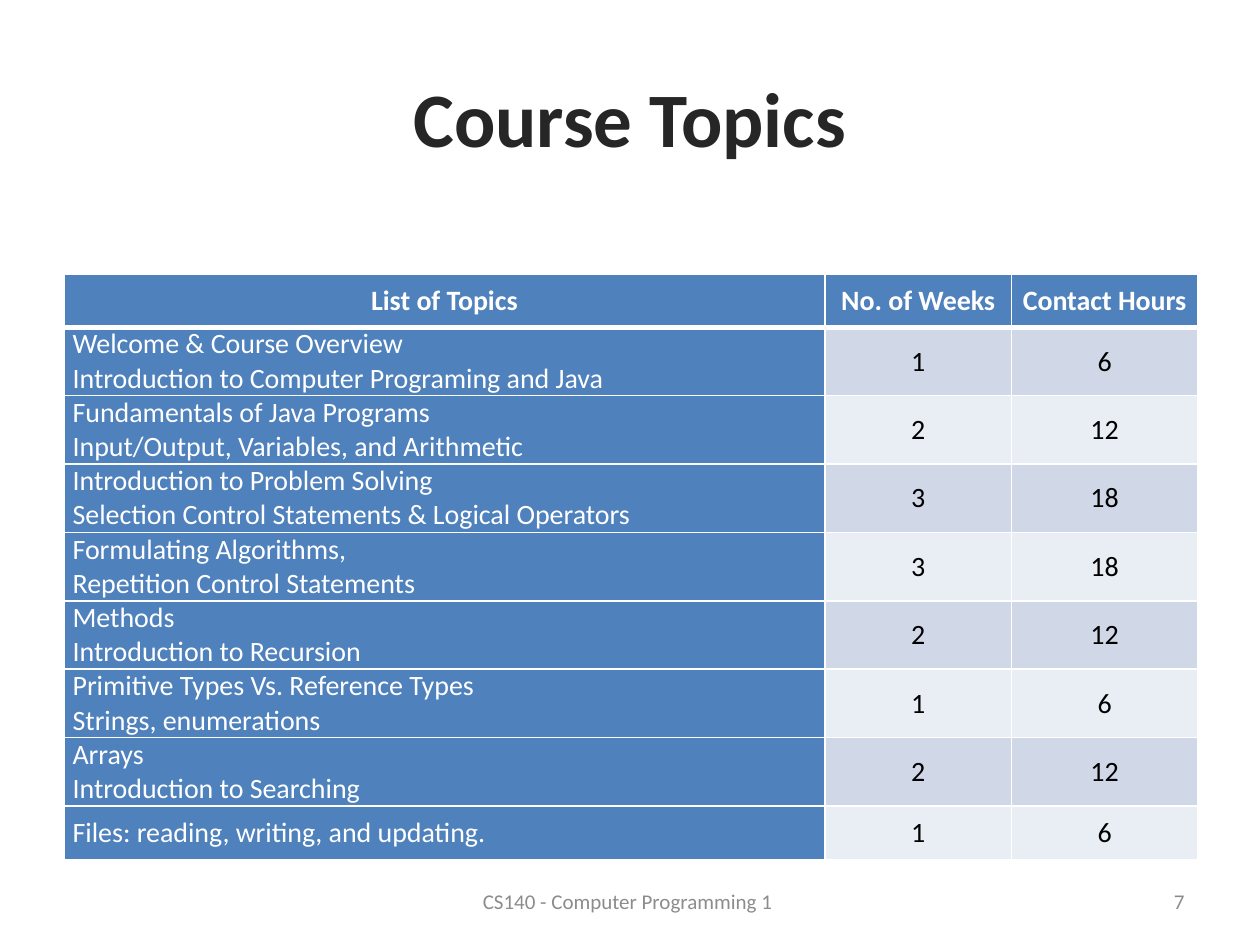
from lxml import etree
from pptx import Presentation
from pptx.dml.color import RGBColor
from pptx.enum import text as t
from pptx.oxml import ns
from pptx.util import Pt

WHITE = RGBColor(0xFF, 0xFF, 0xFF)
BLACK = RGBColor(0, 0, 0)
DARK = RGBColor(0x26, 0x26, 0x26)
GREY = RGBColor(0x8C, 0x8C, 0x8C)
BLUE = RGBColor(0x4F, 0x81, 0xBD)
BANDS = (RGBColor(0xD0, 0xD8, 0xE8), RGBColor(0xE9, 0xED, 0xF4))
LEFT, MID, RIGHT = t.PP_ALIGN.LEFT, t.PP_ALIGN.CENTER, t.PP_ALIGN.RIGHT

HEADS = ("List of Topics", "No. of Weeks", "Contact Hours")
TOPICS = (
    (("Welcome & Course Overview",
      "Introduction to Computer Programing and Java"), 1, 6),
    (("Fundamentals of Java Programs",
      "Input/Output, Variables, and Arithmetic"), 2, 12),
    (("Introduction to Problem Solving",
      "Selection Control Statements & Logical Operators"), 3, 18),
    (("Formulating Algorithms,", "Repetition Control Statements"), 3, 18),
    (("Methods", "Introduction to Recursion"), 2, 12),
    (("Primitive Types Vs. Reference Types", "Strings, enumerations"), 1, 6),
    (("Arrays", "Introduction to Searching"), 2, 12),
    (("Files: reading, writing, and updating.",), 1, 6),
)


def write(frame, lines, size, color, align, bold=False):
    """Write each line as one paragraph with one run."""
    for i, line in enumerate(lines):
        para = frame.add_paragraph() if i else frame.paragraphs[0]
        para.alignment = align
        run = para.add_run()
        run.text = line
        font = run.font
        font.name, font.size, font.bold = "Calibri", Pt(size), bold
        font.color.rgb = color


def label(slide, box, line, size, color, align, bold=False):
    """Place one line of text, centred in height, in the box."""
    frame = slide.shapes.add_textbox(*map(Pt, box)).text_frame
    frame.word_wrap = True
    frame.vertical_anchor = t.MSO_ANCHOR.MIDDLE
    write(frame, [line], size, color, align, bold)


def edge(cell, base):
    """Draw white borders round a cell, the bottom one base points wide."""
    props = cell._tc.get_or_add_tcPr()
    for i, (side, width) in enumerate(
            (("lnL", 1), ("lnR", 1), ("lnT", 1), ("lnB", base))):
        line = etree.Element(ns.qn("a:" + side), w=str(Pt(width)))
        fill = etree.SubElement(line, ns.qn("a:solidFill"))
        etree.SubElement(fill, ns.qn("a:srgbClr"), val=str(WHITE))
        props.insert(i, line)


def fill_cell(cell, lines, fill, color, align, head=False):
    """Set the text, fill and borders of one cell."""
    cell.margin_left = cell.margin_right = Pt(5)
    cell.margin_top = cell.margin_bottom = 0
    cell.vertical_anchor = t.MSO_ANCHOR.MIDDLE
    cell.fill.solid()
    cell.fill.fore_color.rgb = fill
    write(cell.text_frame, lines, 16, color, align, head)
    edge(cell, 3 if head else 1)


def topic_table(slide, box):
    """Place the table of topics, with a head row and banded numbers."""
    left, top, width, height = box
    grid = slide.shapes.add_table(
        len(TOPICS) + 1, len(HEADS), *map(Pt, box)).table
    slim, low = 106.5, 30.5
    for col, wide in zip(grid.columns, (width - 2 * slim, slim, slim)):
        col.width = Pt(wide)
    tall = (height - 2 * low) / (len(TOPICS) - 1)
    for i, row in enumerate(grid.rows):
        row.height = Pt(low if i in (0, len(TOPICS)) else tall)
    for col, head in enumerate(HEADS):
        fill_cell(grid.cell(0, col), [head], BLUE, WHITE, MID, True)
    for row, (lines, *counts) in enumerate(TOPICS, 1):
        fill_cell(grid.cell(row, 0), lines, BLUE, WHITE, LEFT)
        for col, count in enumerate(counts, 1):
            fill_cell(grid.cell(row, col), [str(count)],
                      BANDS[(row - 1) % 2], BLACK, MID)


def footer(slide, box):
    """Place the course name in the middle and the page number at right."""
    left, top, width, height = box
    label(slide, (left + 210, top, 228, height),
          "CS140 - Computer Programming 1 ", 12, GREY, MID)
    label(slide, (left + width - 168, top, 168, height), "7", 12, GREY, RIGHT)


def main():
    """Build the slide and save it."""
    deck = Presentation()
    deck.slide_width, deck.slide_height = Pt(720), Pt(540)
    slide = deck.slides.add_slide(deck.slide_layouts[6])
    footer(slide, (36, 500.5, 648, 28.75))
    label(slide, (36, 21.6, 648, 90), "Course Topics", 44, DARK, MID, True)
    topic_table(slide, (36.5, 156.5, 648, 334.7))
    deck.save("out.pptx")


main()
